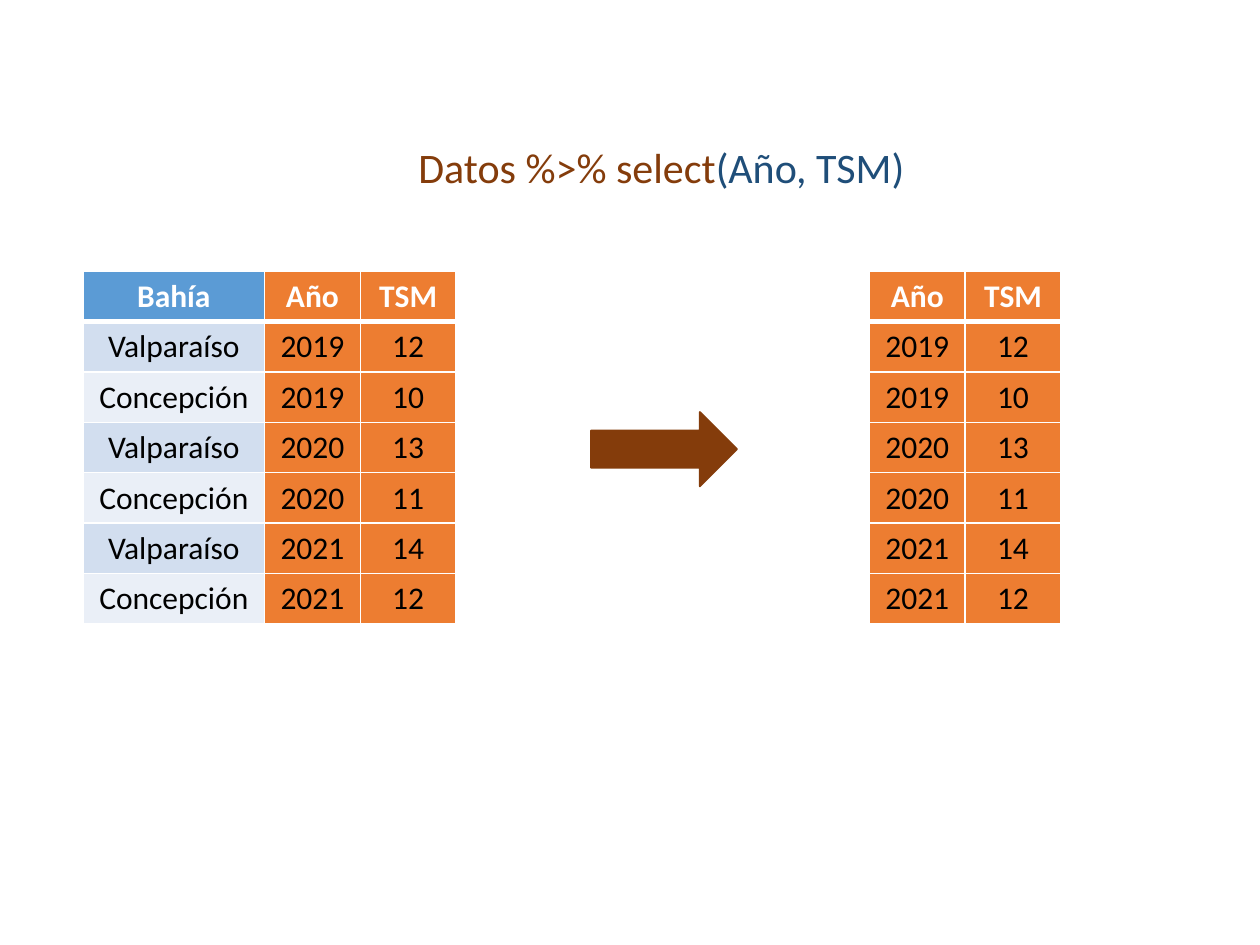
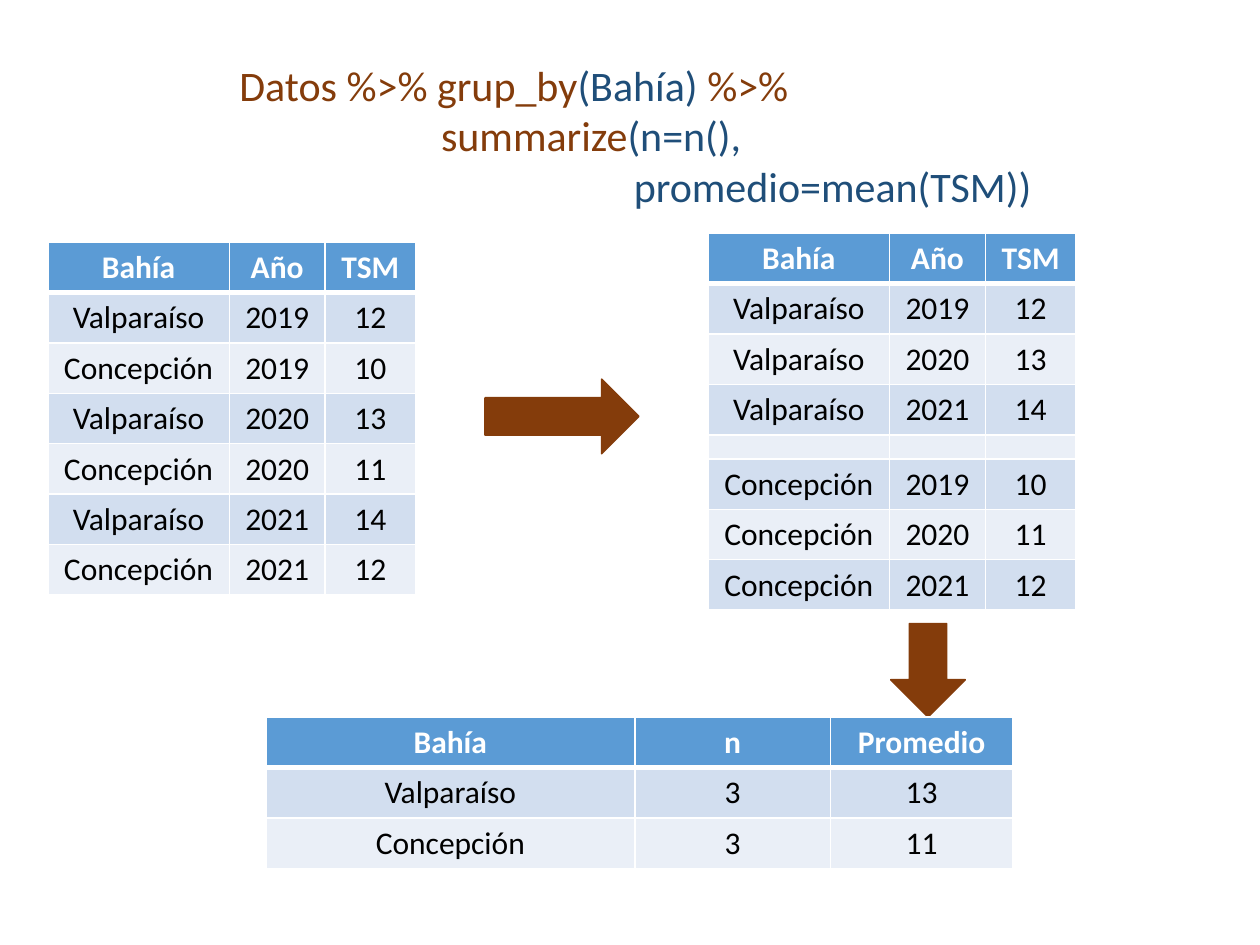
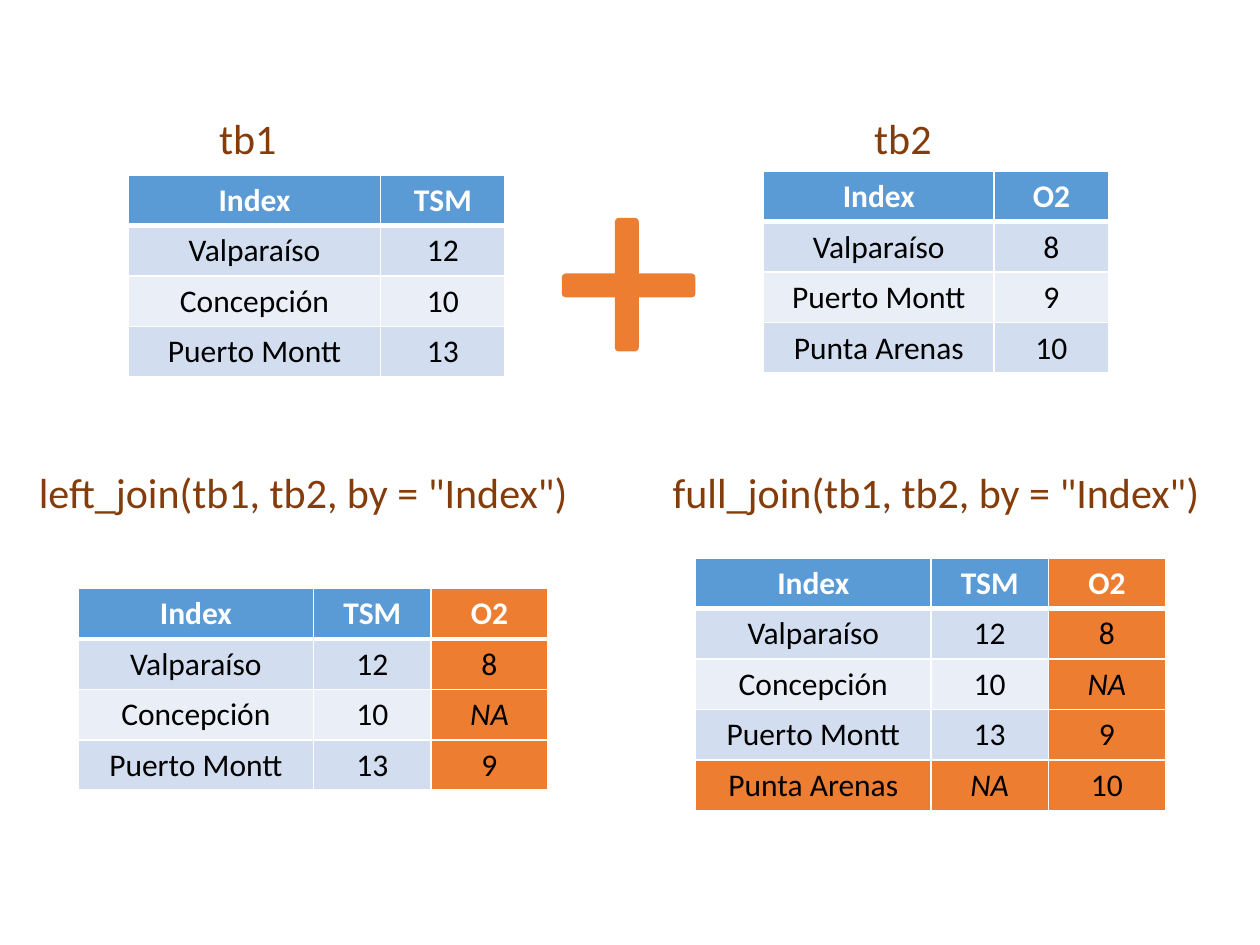
from lxml.etree import SubElement
from pptx import Presentation
from pptx.dml.color import RGBColor
from pptx.enum.shapes import MSO_SHAPE
from pptx.enum.text import MSO_ANCHOR, MSO_AUTO_SIZE, PP_ALIGN
from pptx.oxml.ns import qn
from pptx.util import Inches, Pt

WHITE = RGBColor(0xFF, 0xFF, 0xFF)
BLACK = RGBColor(0x00, 0x00, 0x00)
BLUE = RGBColor(0x5B, 0x9B, 0xD5)
BAND_DARK = RGBColor(0xD2, 0xDE, 0xEF)
BAND_LIGHT = RGBColor(0xEA, 0xEF, 0xF7)
ORANGE = RGBColor(0xED, 0x7D, 0x31)
BROWN = RGBColor(0x84, 0x3C, 0x0B)
NAVY = RGBColor(0x1F, 0x4E, 0x79)

FONT = "Calibri"
TITLE_ONLY, BLANK = 5, 6
ROW_HEIGHT = 0.4
GAP_HEIGHT = 0.19
BAY_COLS = [1.44, 0.76, 0.72]
JOIN_COLS = [1.87, 0.93, 0.93]

BAY_HEADER = ["Bahía", "Año", "TSM"]
BAY_ROWS = [
    ["Valparaíso", "2019", "12"],
    ["Concepción", "2019", "10"],
    ["Valparaíso", "2020", "13"],
    ["Concepción", "2020", "11"],
    ["Valparaíso", "2021", "14"],
    ["Concepción", "2021", "12"],
]
LEFT_JOIN = [
    ["Index", "TSM", "O2"],
    ["Valparaíso", "12", "8"],
    ["Concepción", "10", "NA"],
    ["Puerto Montt", "13", "9"],
]
FULL_JOIN = LEFT_JOIN + [["Punta Arenas", "NA", "10"]]
TB1 = [row[:2] for row in LEFT_JOIN]
TB2 = [["Index", "O2"], ["Valparaíso", "8"], ["Puerto Montt", "9"], ["Punta Arenas", "10"]]


def fill_code(sp, lines):
    tf = sp.text_frame
    tf.word_wrap = False
    tf.auto_size = MSO_AUTO_SIZE.SHAPE_TO_FIT_TEXT
    tf.vertical_anchor = MSO_ANCHOR.TOP
    for i, (indent, parts) in enumerate(lines):
        p = tf.paragraphs[0] if i == 0 else tf.add_paragraph()
        p.alignment = PP_ALIGN.LEFT
        p.font.name, p.font.size = FONT, Pt(24)
        if indent:
            p._p.get_or_add_pPr().set("marL", str(Inches(indent)))
        for text, color in parts:
            r = p.add_run()
            r.text = text
            r.font.color.rgb = color


def add_code_title(s, left, top, width, height, lines):
    sp = s.shapes.title
    sp.left, sp.top, sp.width, sp.height = map(Inches, (left, top, width, height))
    fill_code(sp, lines)


def add_code_label(s, left, top, width, text):
    sp = s.shapes.add_textbox(*map(Inches, (left, top, width, 0.5)))
    fill_code(sp, [(0, [(text, BROWN)])])


def add_solid(s, kind, left, top, width, height, color, outlined=False):
    sp = s.shapes.add_shape(kind, *map(Inches, (left, top, width, height)))
    sp.shadow.inherit = False
    sp.fill.solid()
    sp.fill.fore_color.rgb = color
    if outlined:
        sp.line.color.rgb = color
        sp.line.width = Pt(1)
    else:
        sp.line.fill.background()


def set_borders(cell, is_header):
    tcPr = cell._tc.get_or_add_tcPr()
    for i, side in enumerate(("lnL", "lnR", "lnT", "lnB")):
        width = Pt(3) if is_header and side == "lnB" else Pt(1)
        ln = tcPr.makeelement(qn(f"a:{side}"), {"w": str(width)})
        fill = SubElement(ln, qn("a:solidFill"))
        SubElement(fill, qn("a:srgbClr"), val=str(WHITE))
        tcPr.insert(i, ln)


def format_cell(cell, text, is_header, color):
    cell.fill.solid()
    cell.fill.fore_color.rgb = color
    set_borders(cell, is_header)
    p = cell.text_frame.paragraphs[0]
    p.alignment = PP_ALIGN.CENTER
    if not text:
        cell.margin_top = cell.margin_bottom = 0
        SubElement(p._p, qn("a:endParaRPr"), sz="500")
        return
    p.text = text
    p.font.name, p.font.size = FONT, Pt(18)
    p.font.bold = is_header
    p.font.italic = text == "NA"
    p.font.color.rgb = WHITE if is_header else BLACK


def add_data_table(s, left, top, widths, rows, orange_cols=(), orange_rows=()):
    heights = [ROW_HEIGHT if any(row) else GAP_HEIGHT for row in rows]
    size = map(Inches, (left, top, sum(widths), sum(heights)))
    table = s.shapes.add_table(len(rows), len(widths), *size).table
    for column, width in zip(table.columns, widths):
        column.width = Inches(width)
    for i, row in enumerate(rows):
        table.rows[i].height = Inches(heights[i])
        base = BLUE if i == 0 else BAND_DARK if i % 2 else BAND_LIGHT
        for j, text in enumerate(row):
            color = ORANGE if j in orange_cols or i in orange_rows else base
            format_cell(table.cell(i, j), text, i == 0, color)


def add_select_slide(prs):
    s = prs.slides.add_slide(prs.slide_layouts[TITLE_ONLY])
    add_code_title(s, 3.22, 1.07, 4.09, 0.5, [
        (0, [("Datos %>% select", BROWN), ("(Año, TSM)", NAVY)]),
    ])
    rows = [BAY_HEADER] + BAY_ROWS
    add_data_table(s, 0.66, 2.15, [1.44, 0.76, 0.76], rows, orange_cols=(1, 2))
    add_data_table(s, 6.9, 2.15, [0.76, 0.76], [row[1:] for row in rows], orange_cols=(0, 1))
    add_solid(s, MSO_SHAPE.RIGHT_ARROW, 4.69, 3.27, 1.16, 0.59, BROWN, outlined=True)


def add_summarize_slide(prs):
    s = prs.slides.add_slide(prs.slide_layouts[TITLE_ONLY])
    add_code_title(s, 1.8, 0.42, 6.54, 1.31, [
        (0, [("Datos %>% grup_by", BROWN), ("(Bahía) ", NAVY), ("%>%", BROWN)]),
        (1.6, [("summarize", BROWN), ("(n=n(),", NAVY)]),
        (3.13, [("promedio=mean(TSM))", NAVY)]),
    ])
    valparaiso, concepcion = BAY_ROWS[::2], BAY_ROWS[1::2]
    grouped = [BAY_HEADER] + valparaiso + [["", "", ""]] + concepcion
    summary = [["Bahía", "n", "Promedio"], ["Valparaíso", "3", "13"], ["Concepción", "3", "11"]]
    add_data_table(s, 5.62, 1.85, BAY_COLS, grouped)
    add_solid(s, MSO_SHAPE.RIGHT_ARROW, 3.85, 3.01, 1.22, 0.59, BROWN, outlined=True)
    add_data_table(s, 0.38, 1.92, BAY_COLS, [BAY_HEADER] + BAY_ROWS)
    add_solid(s, MSO_SHAPE.DOWN_ARROW, 7.07, 4.95, 0.59, 0.74, BROWN, outlined=True)
    add_data_table(s, 2.11, 5.69, [2.93, 1.55, 1.45], summary)


def add_join_slide(prs):
    s = prs.slides.add_slide(prs.slide_layouts[BLANK])
    add_data_table(s, 1.02, 1.39, [2, 0.99], TB1)
    add_data_table(s, 6.06, 1.36, [1.83, 0.91], TB2)
    add_solid(s, MSO_SHAPE.ROUNDED_RECTANGLE, 4.88, 1.73, 0.19, 1.06, ORANGE)
    add_solid(s, MSO_SHAPE.ROUNDED_RECTANGLE, 4.46, 2.17, 1.06, 0.19, ORANGE)
    add_data_table(s, 0.62, 4.67, JOIN_COLS, LEFT_JOIN, orange_cols=(2,))
    add_code_label(s, 0.21, 3.65, 4.52, 'left_join(tb1, tb2, by = "Index")')
    add_code_label(s, 1.64, 0.84, 0.66, "tb1")
    add_code_label(s, 6.84, 0.84, 0.66, "tb2")
    add_code_label(s, 5.24, 3.65, 4.5, 'full_join(tb1, tb2, by = "Index")')
    add_data_table(s, 5.52, 4.43, JOIN_COLS, FULL_JOIN, orange_cols=(2,), orange_rows=(4,))


def main():
    prs = Presentation()
    prs.slide_width, prs.slide_height = Inches(10), Inches(7.5)
    add_select_slide(prs)
    add_summarize_slide(prs)
    add_join_slide(prs)
    prs.save("out.pptx")


if __name__ == "__main__":
    main()
